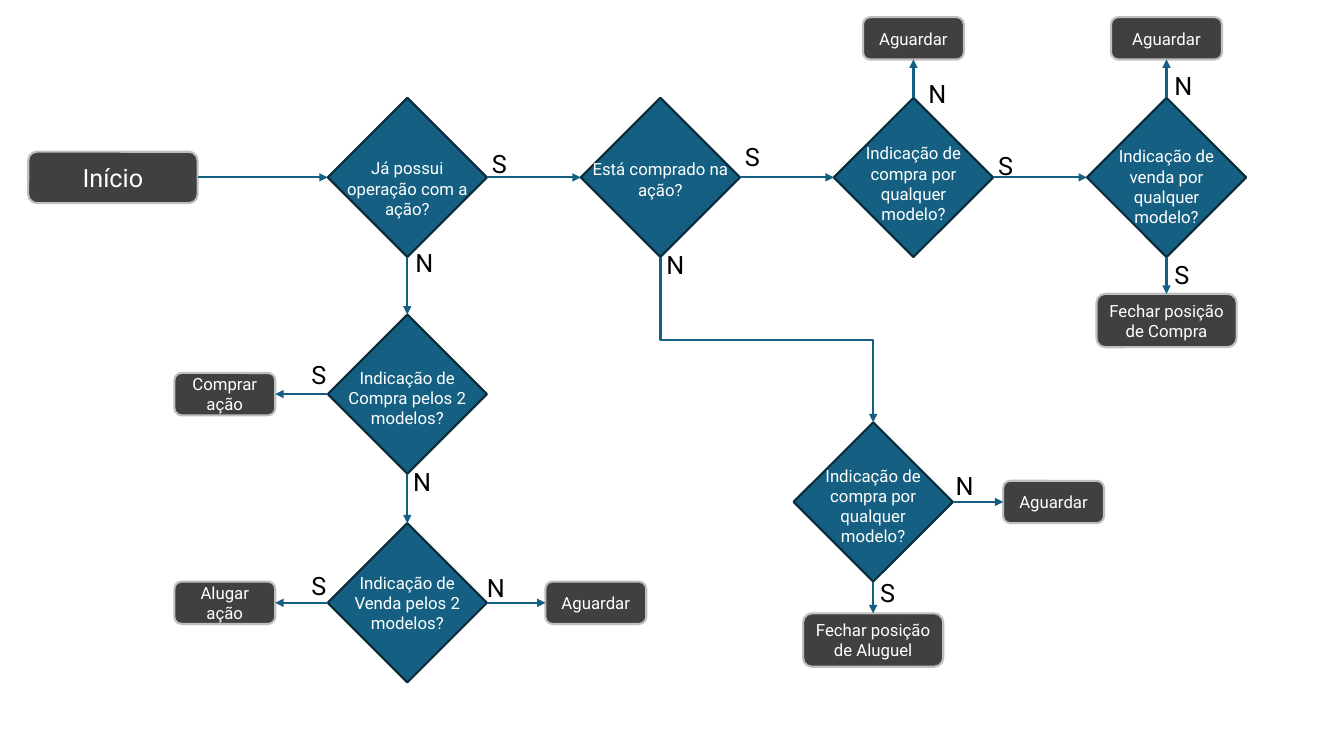
from lxml import etree
from pptx import Presentation
from pptx.dml.color import RGBColor
from pptx.enum.shapes import MSO_CONNECTOR, MSO_SHAPE
from pptx.enum.text import MSO_ANCHOR, MSO_AUTO_SIZE, PP_ALIGN
from pptx.oxml.ns import qn
from pptx.util import Inches, Pt

STRAIGHT, ELBOW = MSO_CONNECTOR.STRAIGHT, MSO_CONNECTOR.ELBOW
DIAMOND, ROUNDED = MSO_SHAPE.DIAMOND, MSO_SHAPE.ROUNDED_RECTANGLE
LEFT, CENTER = PP_ALIGN.LEFT, PP_ALIGN.CENTER
MIDDLE = MSO_ANCHOR.MIDDLE
GROW = MSO_AUTO_SIZE.SHAPE_TO_FIT_TEXT
TOP_SIDE, LEFT_SIDE, BOTTOM_SIDE, RIGHT_SIDE = range(4)

FONT = "Roboto"
COLORS = {
    "decision": "156082",
    "decision_edge": "092A39",
    "action": "404040",
    "action_edge": "BFBFBF",
    "light": "FFFFFF",
    "dark": "000000",
}
SIDE = 1.58
LINE_WIDTH = 1.5
ACTION = (1, 0.42)
CLOSING = (1.39, 0.53)

FLOW = [4.04 + 2.51 * i for i in range(4)]
COL = {"start": 1.12, "act": 2.23, "wait": 5.91, "rent": 8.66, "rent_wait": 10.45}
ROW = {"top": 0.38, "flow": 1.76, "close": 3.18, "buy": 3.91,
       "rent": 4.98, "sell": 5.98, "rent_close": 6.35}

DECISIONS = {
    "has": (FLOW[0], ROW["flow"], "Já possui operação com a ação?", 1.6, 0.5, -0.24),
    "bought": (FLOW[1], ROW["flow"], "Está comprado na ação?", 1.6, 0.5, -0.23),
    "buy_any": (FLOW[2], ROW["flow"], "Indicação de compra por qualquer modelo?", 1.34, 0.91, -0.39),
    "sell_any": (FLOW[3], ROW["flow"], "Indicação de venda por qualquer modelo?", 1.42, 0.91, -0.36),
    "buy": (FLOW[0], ROW["buy"], "Indicação de Compra pelos 2 modelos?", 1.6, 0.71, -0.31),
    "sell": (FLOW[0], ROW["sell"], "Indicação de Venda pelos 2 modelos?", 1.6, 0.71, -0.35),
    "rent": (COL["rent"], ROW["rent"], "Indicação de compra por qualquer modelo?", 1.34, 0.91, -0.41),
}
ACTIONS = {
    "start": (COL["start"], ROW["flow"], "Início", (1.68, 0.51), 18),
    "do_buy": (COL["act"], ROW["buy"], "Comprar ação", ACTION, 12),
    "do_rent": (COL["act"], ROW["sell"], "Alugar ação", ACTION, 12),
    "wait_sell": (COL["wait"], ROW["sell"], "Aguardar", ACTION, 12),
    "wait_buy_any": (FLOW[2], ROW["top"], "Aguardar", ACTION, 12),
    "wait_sell_any": (FLOW[3], ROW["top"], "Aguardar", (1.1, 0.42), 12),
    "wait_rent": (COL["rent_wait"], ROW["rent"], "Aguardar", ACTION, 12),
    "close_buy": (FLOW[3], ROW["close"], "Fechar posição de Compra", CLOSING, 12),
    "close_rent": (COL["rent"], ROW["rent_close"], "Fechar posição de Aluguel", CLOSING, 12),
}
BRANCHES = [
    ("has", RIGHT_SIDE, "bought", "S", 0.74, -0.34),
    ("has", BOTTOM_SIDE, "buy", "N", -0.02, 0.64),
    ("buy", BOTTOM_SIDE, "sell", "N", -0.04, 0.67),
    ("buy", LEFT_SIDE, "do_buy", "S", -1.05, -0.39),
    ("sell", LEFT_SIDE, "do_rent", "S", -1.05, -0.37),
    ("sell", RIGHT_SIDE, "wait_sell", "N", 0.69, -0.35),
    ("bought", RIGHT_SIDE, "buy_any", "S", 0.74, -0.41),
    ("bought", BOTTOM_SIDE, "rent", "N", -0.04, 0.66),
    ("rent", BOTTOM_SIDE, "close_rent", "S", -0.03, 0.7),
    ("rent", RIGHT_SIDE, "wait_rent", "N", 0.72, -0.36),
    ("buy_any", TOP_SIDE, "wait_buy_any", "N", 0.05, -1.03),
    ("buy_any", RIGHT_SIDE, "sell_any", "S", 0.74, -0.32),
    ("sell_any", TOP_SIDE, "wait_sell_any", "N", -0.02, -1.11),
    ("sell_any", BOTTOM_SIDE, "close_buy", "S", -0.02, 0.76),
]


def rgb(name):
    return RGBColor.from_string(COLORS[name])


def write(sp, text, size=12, color="light", align=CENTER):
    tf = sp.text_frame
    tf.word_wrap = True
    p = tf.paragraphs[0]
    p.alignment = align
    r = p.add_run()
    r.text = text
    r.font.name = FONT
    r.font.size = Pt(size)
    r.font.color.rgb = rgb(color)


def add_node(s, kind, cx, cy, w, h, style):
    sp = s.shapes.add_shape(kind, Inches(cx - w / 2), Inches(cy - h / 2), Inches(w), Inches(h))
    sp.shadow.inherit = False
    sp.fill.solid()
    sp.fill.fore_color.rgb = rgb(style)
    sp.line.color.rgb = rgb(style + "_edge")
    sp.line.width = Pt(LINE_WIDTH)
    return sp


def add_text(s, left, top, w, h, text, **fmt):
    sp = s.shapes.add_textbox(Inches(left), Inches(top), Inches(w), Inches(h))
    write(sp, text, **fmt)
    sp.text_frame.auto_size = GROW


def add_decision(s, cx, cy, text, w, h, dy):
    sp = add_node(s, DIAMOND, cx, cy, SIDE, SIDE, "decision")
    add_text(s, cx - w / 2, cy + dy, w, h, text)
    return sp


def add_action(s, cx, cy, text, size, font_size):
    sp = add_node(s, ROUNDED, cx, cy, *size, "action")
    sp.text_frame.vertical_anchor = MIDDLE
    write(sp, text, size=font_size)
    return sp


def turn_downward(c):
    w, h = c.width, c.height
    c.left, c.top = c.left + (w - h) // 2, c.top + (h - w) // 2
    c.width, c.height = h, w
    xfrm = c._element.spPr.find(qn("a:xfrm"))
    xfrm.set("rot", "16200000")
    xfrm.set("flipH", "1")


def add_arrow(s, source, side, target, kind=STRAIGHT):
    c = s.shapes.add_connector(kind, 0, 0, 0, 0)
    c.begin_connect(source, side)
    c.end_connect(target, (side + 2) % 4)
    c.line.color.rgb = rgb("decision")
    c.line.width = Pt(LINE_WIDTH)
    etree.SubElement(c.line._get_or_add_ln(), qn("a:tailEnd"), type="triangle")
    etree.SubElement(c._element.spPr, qn("a:effectLst"))
    if kind == ELBOW:
        turn_downward(c)


def main():
    prs = Presentation()
    prs.slide_width, prs.slide_height = Inches(13.33), Inches(7.5)
    s = prs.slides.add_slide(prs.slide_layouts[6])
    nodes = {name: add_decision(s, *spot) for name, spot in DECISIONS.items()}
    nodes.update({name: add_action(s, *spot) for name, spot in ACTIONS.items()})
    add_arrow(s, nodes["start"], RIGHT_SIDE, nodes["has"])
    for source, side, target, answer, dx, dy in BRANCHES:
        kind = ELBOW if (source, target) == ("bought", "rent") else STRAIGHT
        add_arrow(s, nodes[source], side, nodes[target], kind)
        cx, cy = DECISIONS[source][:2]
        add_text(s, cx + dx, cy + dy, 0.35, 0.4, answer, size=18, color="dark", align=LEFT)
    prs.save("out.pptx")


if __name__ == "__main__":
    main()
